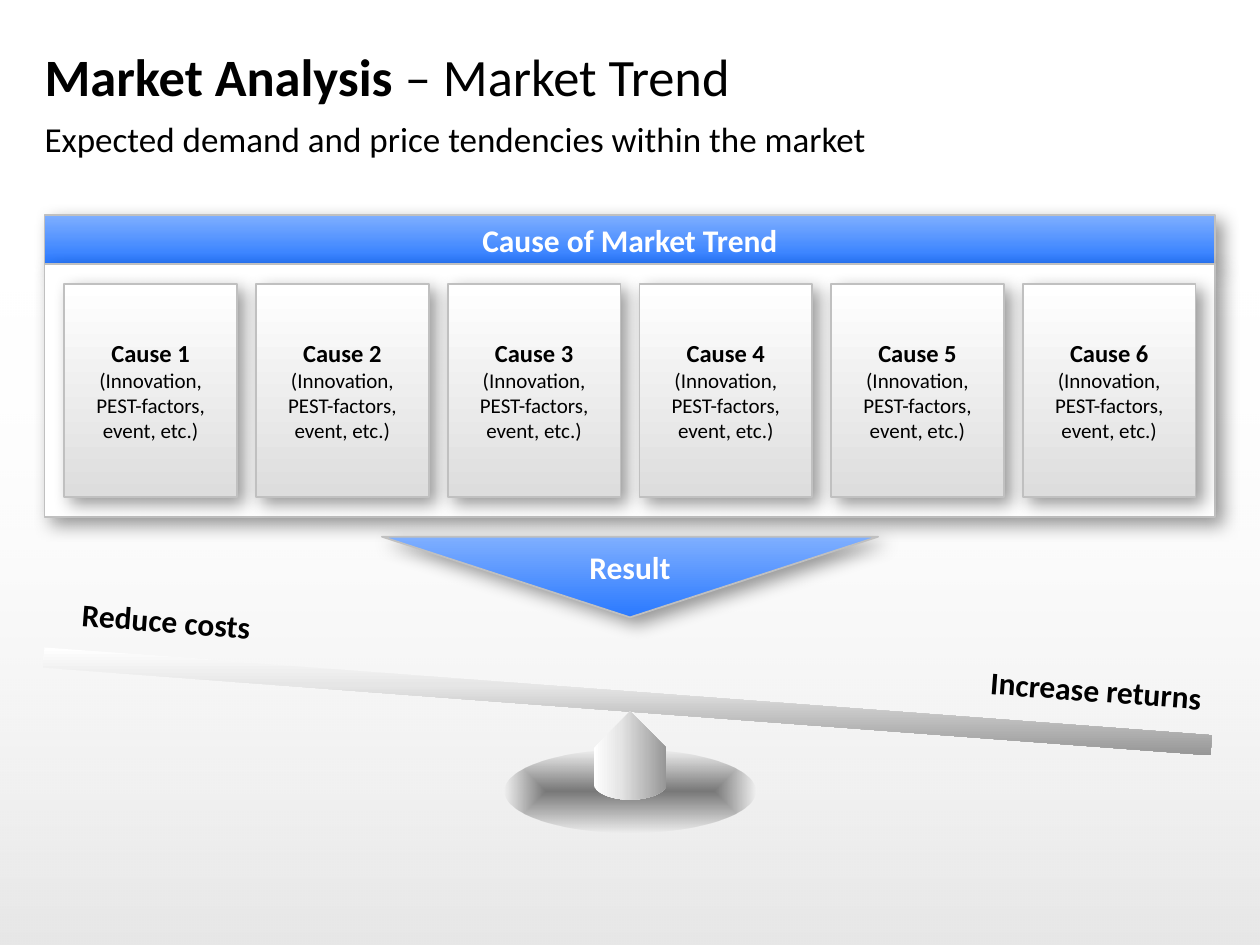
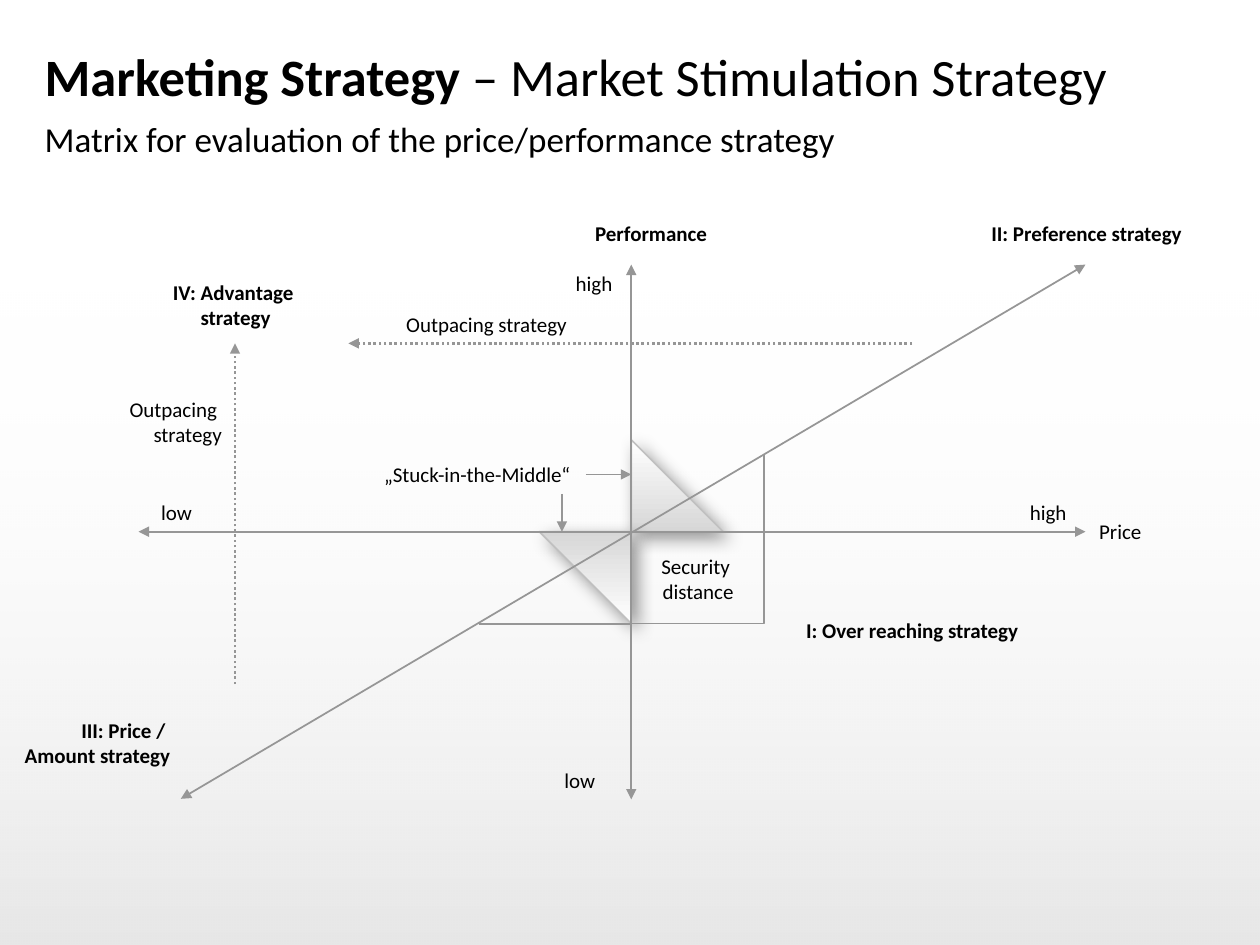
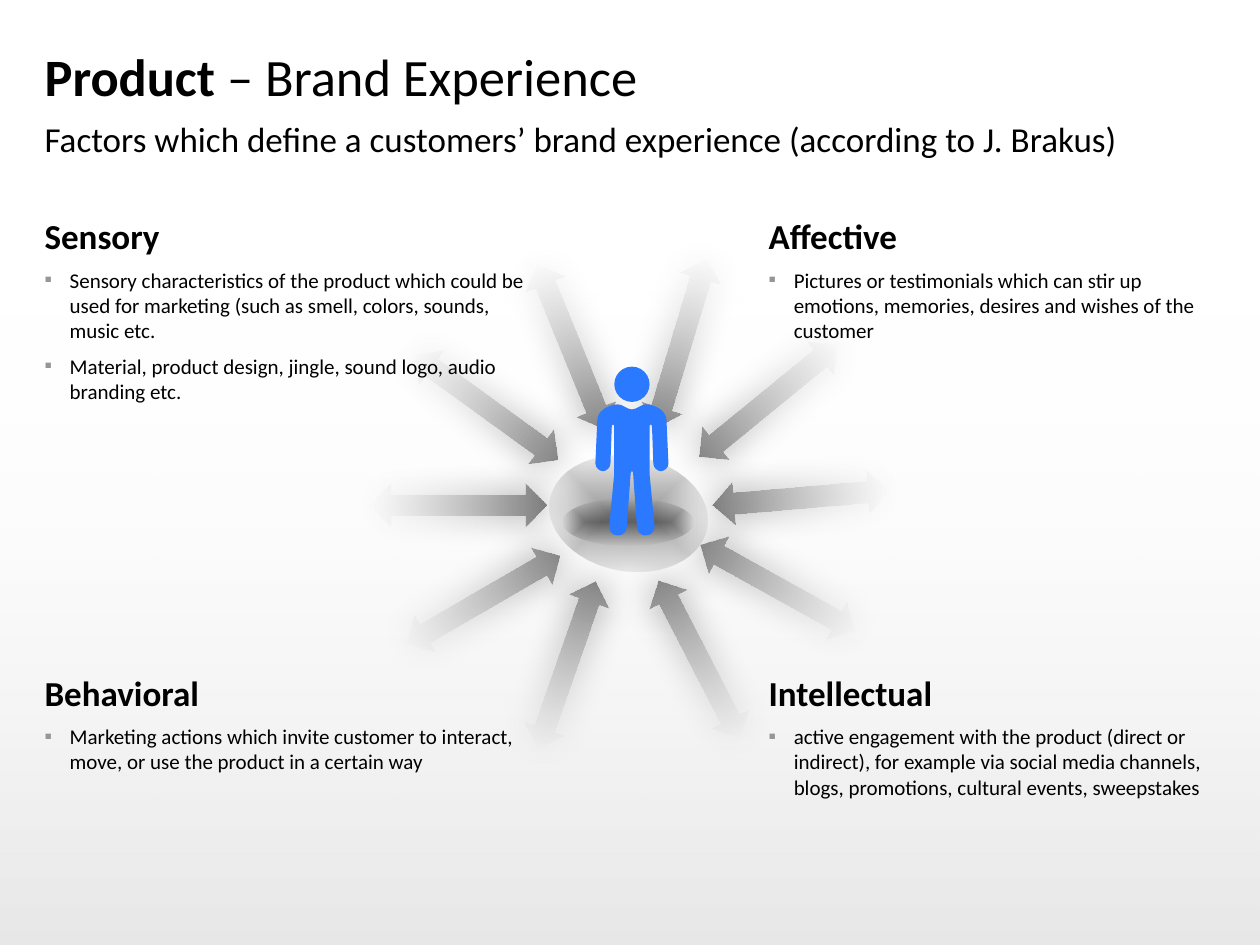
from typing import NamedTuple

from lxml import etree
from pptx import Presentation
from pptx.dml.color import RGBColor
from pptx.enum.dml import MSO_LINE
from pptx.enum.shapes import MSO_CONNECTOR, MSO_SHAPE
from pptx.enum.text import MSO_ANCHOR, MSO_AUTO_SIZE, PP_ALIGN
from pptx.oxml.ns import qn
from pptx.util import Inches, Pt

RECT, OVAL = MSO_SHAPE.RECTANGLE, MSO_SHAPE.OVAL
MERGE, TRIANGLE = MSO_SHAPE.FLOWCHART_MERGE, MSO_SHAPE.RIGHT_TRIANGLE
ARROW = MSO_SHAPE.LEFT_RIGHT_ARROW
STRAIGHT, DOTTED = MSO_CONNECTOR.STRAIGHT, MSO_LINE.ROUND_DOT
LEFT, CENTER, RIGHT = PP_ALIGN.LEFT, PP_ALIGN.CENTER, PP_ALIGN.RIGHT
TOP, MIDDLE, BOTTOM = MSO_ANCHOR.TOP, MSO_ANCHOR.MIDDLE, MSO_ANCHOR.BOTTOM
FIXED, GROW = MSO_AUTO_SIZE.NONE, MSO_AUTO_SIZE.SHAPE_TO_FIT_TEXT

FONT = "Calibri"
BLACK = RGBColor(0x00, 0x00, 0x00)
WHITE = RGBColor(0xFF, 0xFF, 0xFF)
BLUE = RGBColor(0x2A, 0x79, 0xFF)
LIGHT_BLUE = RGBColor(0x7F, 0xAF, 0xFF)
BORDER = RGBColor(0xC0, 0xC0, 0xC0)
GREY = RGBColor(0x96, 0x96, 0x96)
DARK_GREY = RGBColor(0x7D, 0x7D, 0x7D)
MID_GREY = RGBColor(0xD7, 0xD7, 0xD7)
CARD_GREY = RGBColor(0xDD, 0xDD, 0xDD)
PALE_GREY = RGBColor(0xE6, 0xE6, 0xE6)

BLUE_FADE = [(0, LIGHT_BLUE, 100), (100, BLUE, 100)]
CARD_FADE = [(0, WHITE, 100), (100, CARD_GREY, 100)]
METAL_FADE = [(0, WHITE, 100), (35, PALE_GREY, 100), (100, GREY, 100)]
TRIANGLE_FADE = [(0, MID_GREY, 100), (100, WHITE, 100)]
ARROW_FADE = [(0, MID_GREY, 0), (100, DARK_GREY, 100)]
BAND_FADE = [(0, BLACK, 10), (100, WHITE, 0)]
DROP_SHADOW = (10, 5, 45)
GLOW_SHADOW = (20, 0, 0)
PADDING = (0.12, 0.08, 0.12, 0.08)
NO_PADDING = (0, 0, 0, 0)

COLUMNS, ROWS = 100, 75
MARGIN, CONTENT_WIDTH, CONTENT_TOP = 3.54, 92.92, 17.04


def cells(count):
    """Convert grid cells, a hundred to the slide's width, to a length."""
    return Inches(count / 10)


class Box(NamedTuple):
    """A rectangle in grid cells."""
    left: float
    top: float
    width: float
    height: float

    def inner(self, x, y, width, height):
        """Return a box offset from this box's corner."""
        return Box(self.left + x, self.top + y, width, height)

    def lengths(self):
        """Return left, top, width and height as lengths."""
        return [cells(count) for count in self]


def fade(shape, stops, angle=None, turns=True):
    """Fill a shape with a linear gradient, or one towards its centre."""
    shape.fill.gradient()
    gradient = shape.element.spPr.find(qn("a:gradFill"))
    gradient.set("rotWithShape", str(int(turns)))
    for child in list(gradient):
        gradient.remove(child)
    stop_list = etree.SubElement(gradient, qn("a:gsLst"))
    for position, color, opacity in stops:
        stop = etree.SubElement(stop_list, qn("a:gs"), pos=str(position * 1000))
        tint = etree.SubElement(stop, qn("a:srgbClr"), val=str(color))
        if opacity < 100:
            etree.SubElement(tint, qn("a:alpha"), val=str(opacity * 1000))
    if angle is None:
        centre = etree.SubElement(gradient, qn("a:path"))
        centre.set("path", "shape")
        etree.SubElement(centre, qn("a:fillToRect"),
                         dict.fromkeys("ltrb", "50000"))
    else:
        etree.SubElement(gradient, qn("a:lin"), ang=str(angle * 60000), scaled="0")


def cast_shadow(shape, blur, distance, direction):
    """Give a shape a soft black shadow."""
    effects = shape.element.spPr.find(qn("a:effectLst"))
    outer = etree.SubElement(effects, qn("a:outerShdw"), blurRad=str(Pt(blur)),
                             dist=str(Pt(distance)), dir=str(direction * 60000),
                             algn="ctr", rotWithShape="0")
    tint = etree.SubElement(outer, qn("a:srgbClr"), val=str(BLACK))
    etree.SubElement(tint, qn("a:alpha"), val="40000")


def paint(shape, solid=None, stops=None, angle=None, border=None, shadow=None,
          rotation=0, turns=True):
    """Set a shape's fill, outline, shadow and rotation."""
    shape.shadow.inherit = False
    shape.rotation = rotation
    if stops:
        fade(shape, stops, angle, turns)
    elif solid is not None:
        shape.fill.solid()
        shape.fill.fore_color.rgb = solid
    else:
        shape.fill.background()
    if border is not None:
        shape.line.color.rgb = border
        shape.line.width = Pt(1)
    else:
        shape.line.fill.background()
    if shadow:
        cast_shadow(shape, *shadow)
    return shape


def draw(slide, kind, box, **look):
    """Add a painted preset shape."""
    return paint(slide.shapes.add_shape(kind, *box.lengths()), **look)


def draw_mirrored(slide, middle, top, start, half, **look):
    """Add an outline of lines and cubic curves, mirrored about its middle."""
    ends = [start] + [segment[-1] for segment in half]
    mirrored = [[(-x, y) for x, y in (*segment[-2::-1], end)]
                for segment, end in zip(half[::-1], ends[-2::-1])]
    segments = [list(segment) for segment in half]
    if ends[-1][0] != 0:
        segments.append([(-ends[-1][0], ends[-1][1])])
    segments += mirrored
    first, *rest = [(cells(middle + x), cells(top + y))
                    for segment in [[start], *segments] for x, y in segment]
    builder = slide.shapes.build_freeform(*first)
    builder.add_line_segments(rest, close=True)
    shape = builder.convert_to_shape()
    steps = list(shape.element.spPr.iter(qn("a:lnTo")))
    for segment in segments:
        curve, *controls = steps[:len(segment)]
        del steps[:len(segment)]
        if controls:
            curve.tag = qn("a:cubicBezTo")
        for control in controls:
            curve.append(control[0])
            control.getparent().remove(control)
    paint(shape, **look)


def set_frame(frame, padding, anchor=TOP, wrap=True, fit=FIXED):
    """Set a text frame's insets, anchor, wrapping and fit."""
    (frame.margin_left, frame.margin_top,
     frame.margin_right, frame.margin_bottom) = map(Inches, padding)
    frame.vertical_anchor = anchor
    frame.auto_size = fit
    frame.word_wrap = wrap


def style(paragraph, size, bold=None, color=BLACK, align=LEFT):
    """Set a paragraph's alignment and font."""
    paragraph.alignment = align
    font = paragraph.font
    font.name, font.size, font.bold = FONT, Pt(size), bold
    font.color.rgb = color


def caption(shape, text, color=BLACK, padding=PADDING):
    """Write a bold centred caption in the middle of a shape."""
    set_frame(shape.text_frame, padding, MIDDLE)
    paragraph = shape.text_frame.paragraphs[0]
    paragraph.text = text
    style(paragraph, 18, True, color, CENTER)


def add_bullet(paragraph):
    """Give a paragraph a hanging grey square bullet."""
    properties = paragraph._p.get_or_add_pPr()
    properties.set("marL", str(Inches(0.2)))
    properties.set("indent", str(-Inches(0.2)))
    tint = etree.SubElement(properties, qn("a:buClr"))
    etree.SubElement(tint, qn("a:srgbClr"), val=str(GREY))
    etree.SubElement(properties, qn("a:buFont"), typeface=FONT)
    etree.SubElement(properties, qn("a:buChar"), char="▪")


def place(placeholder, box, anchor):
    """Move a placeholder and return its first paragraph."""
    (placeholder.left, placeholder.top,
     placeholder.width, placeholder.height) = box.lengths()
    set_frame(placeholder.text_frame, NO_PADDING, anchor)
    return placeholder.text_frame.paragraphs[0]


def add_headed_slide(deck, topic, subject, summary):
    """Add a slide with its title and subtitle."""
    slide = deck.slides.add_slide(deck.slide_layouts[1])
    title = place(slide.shapes.title, Box(MARGIN, 2.65, CONTENT_WIDTH, 6.7), MIDDLE)
    for text, bold in ((topic + " ", True), ("– " + subject, False)):
        run = title.add_run()
        run.text, run.font.bold = text, bold
    style(title, 30)
    subtitle = place(slide.placeholders[1],
                     Box(MARGIN, 9.35, CONTENT_WIDTH, 3.7), TOP)
    subtitle.text = summary
    subtitle.space_before = Pt(0)
    properties = subtitle._p.get_or_add_pPr()
    properties.set("marL", "0")
    properties.set("indent", "0")
    etree.SubElement(properties, qn("a:buNone"))
    style(subtitle, 20)
    return slide


def add_master_band(deck, slide):
    """Put the grey fade at the foot of every slide on the master."""
    band = draw(slide, RECT, Box(0, 22.1, COLUMNS, ROWS - 22.1),
                stops=BAND_FADE, angle=270)
    band.element.nvSpPr.cNvPr.set("id", "100")
    deck.slide_master.element.cSld.spTree.insert(2, band.element)


def add_cause_panel(slide, box):
    """Draw the headed panel with its row of cause cards."""
    header = draw(slide, RECT, box.inner(0, 0, box.width, 3.93), stops=BLUE_FADE,
                  angle=90, border=BORDER, shadow=DROP_SHADOW)
    caption(header, "Cause of Market Trend", WHITE)
    draw(slide, RECT, box.inner(0, 3.93, box.width, box.height - 3.93),
         solid=WHITE, border=BORDER, shadow=DROP_SHADOW)
    count, card_width, inset = 6, 13.7, 1.57
    pitch = (box.width - 2 * inset - card_width) / (count - 1)
    for index in range(count):
        card = draw(slide, RECT,
                    box.inner(inset + index * pitch, 5.5, card_width, 16.9),
                    stops=CARD_FADE, angle=90, border=BORDER, shadow=DROP_SHADOW)
        set_frame(card.text_frame, PADDING, MIDDLE)
        paragraph = card.text_frame.paragraphs[0]
        name = paragraph.add_run()
        name.text = f"Cause {index + 1}"
        name.font.size, name.font.bold = Pt(14), True
        for line in ("(Innovation,", "PEST-factors, event, etc.)"):
            paragraph.add_line_break()
            paragraph.add_run().text = line
        style(paragraph, 12, align=CENTER)


def add_seesaw(slide, box):
    """Draw the tilted beam with its labels, foot and pillar."""
    tilt = 4.3
    draw(slide, OVAL, box.inner(36.7, 13.2, 19.9, 6.6),
         stops=[(0, BLACK, 50), (100, BLACK, 0)])
    for text, x, y in (("Reduce costs", 0.4, 0), ("Increase returns", 74.2, 5.5)):
        label = slide.shapes.add_textbox(*box.inner(x, y, 18.9, 5.9).lengths())
        label.rotation = tilt
        caption(label, text, padding=(0, 0.08, 0, 0.08))
    draw(slide, RECT, box.inner(0, 8.6, CONTENT_WIDTH, 1.6), stops=METAL_FADE,
         angle=90, rotation=tilt, turns=False)
    draw_mirrored(slide, box.left + 46.67, box.top + 10.2, (0, 0), [
        ((2.88, 2.9),),
        ((2.88, 5.8),),
        ((2.88, 6.4), (1.6, 7), (0, 7)),
    ], stops=METAL_FADE, angle=0)


def add_market_trend(deck):
    """Build the market trend slide."""
    slide = add_headed_slide(deck, "Market Analysis", "Market Trend",
                             "Expected demand and price tendencies within the market")
    add_master_band(deck, slide)
    add_cause_panel(slide, Box(MARGIN, CONTENT_TOP, CONTENT_WIDTH, 24))
    result = draw(slide, MERGE, Box(30.31, 42.6, 39.38, 6.4), stops=BLUE_FADE,
                  angle=90, border=BORDER, shadow=DROP_SHADOW)
    caption(result, "Result", WHITE, (0.12, 0.24, 0.12, 0.08))
    add_seesaw(slide, Box(3.34, 46.27, 93.1, 19.8))


def add_line(slide, origin, start, end, ends="", dash=None):
    """Draw a grey line, with arrowheads at the ends named."""
    points = [cells(base + shift) for point in (start, end)
              for base, shift in zip(origin[:2], point)]
    connector = slide.shapes.add_connector(STRAIGHT, *points)
    connector.line.color.rgb = GREY
    connector.line.width = Pt(1.5 if dash else 1)
    if dash:
        connector.line.dash_style = dash
    properties = connector.element.spPr
    for name in ends.split():
        etree.SubElement(properties.find(qn("a:ln")), qn(f"a:{name}End"),
                         type="triangle")
    etree.SubElement(properties, qn("a:effectLst"))


def add_label(slide, origin, text, x, y, width, bold=False, align=LEFT, wrap=False):
    """Write a small label at an offset from the origin."""
    height = 5 if "\n" in text else 3
    label = slide.shapes.add_textbox(*origin.inner(x, y, width, height).lengths())
    set_frame(label.text_frame, (0.1, 0.05, 0.1, 0.05), wrap=wrap, fit=GROW)
    paragraph = label.text_frame.paragraphs[0]
    paragraph.text = text
    style(paragraph, 12, bold, align=align)


def add_strategy_matrix(slide, origin):
    """Draw the price and performance axes, zones and labels."""
    leg = 7.3
    for x, y, rotation in ((0, -leg, 0), (-leg, 0, 180)):
        draw(slide, TRIANGLE, origin.inner(x, y, leg, leg), stops=TRIANGLE_FADE,
             angle=270, border=BORDER, shadow=DROP_SHADOW, rotation=rotation)
    draw(slide, RECT, origin.inner(0, 0, 10.55, leg), border=GREY)
    for line in (
        ((0, -21.2), (0, 21.25), "head tail"),
        ((-39.1, 0), (36.05, 0), "head tail"),
        ((-35.75, 21.2), (36.05, -21.2), "head tail"),
        ((22.3, -14.95), (-22.45, -14.95), "tail", DOTTED),
        ((-31.45, 12.1), (-31.45, -14.95), "tail", DOTTED),
        ((0, leg), (-12.1, leg)),
        ((10.55, 0), (10.55, -6.2)),
        ((-3.6, -4.55), (0, -4.55), "tail"),
        ((-5.5, -3), (-5.5, 0), "tail"),
    ):
        add_line(slide, origin, *line)
    for label in (
        ("Performance", -3.85, -25.2, 11, True),
        ("low", -6.3, 18.2, 4.5),
        ("high", -5.4, -21.2, 4.9),
        ("IV: Advantage \nstrategy", -37.45, -20.5, 12.1, True, CENTER),
        ("III: Price / \nAmount strategy", -49.3, 14.25, 13.7, True, RIGHT),
        ("II: Preference strategy", 27.5, -25.2, 17.3, True, CENTER),
        ("I: Over reaching strategy", 11.85, 6.3, 20.9, True, CENTER, True),
        ("low", -38.3, -3.05, 4.5),
        ("Price", 36.15, -1.5, 5.4),
        ("high", 30.65, -3.05, 4.9),
        ("„Stuck-in-the-Middle“", -20.6, -6.05, 17),
        ("Security \ndistance", 1.35, 1.25, 7.9, False, CENTER),
        ("Outpacing strategy", -18.85, -18, 14.9),
        ("Outpacing \nstrategy", -40.9, -11.2, 9.4, False, RIGHT),
    ):
        add_label(slide, origin, *label)


def add_market_stimulation(deck):
    """Build the market stimulation strategy slide."""
    slide = add_headed_slide(deck, "Marketing Strategy", "Market Stimulation Strategy",
                             "Matrix for evaluation of the price/performance strategy")
    add_strategy_matrix(slide, Box(50.1, 42.2, 0, 0))


def add_customer(slide, box):
    """Draw the standing customer, mirrored about the box's middle."""
    draw(slide, OVAL, box.inner(1.5, 0, 2.8, 2.8), solid=BLUE)
    draw_mirrored(slide, box.left + box.width / 2, box.top + 3, (0, 0.4), [
        ((0.4, 0.4), (0.7, 0), (1.1, 0)),
        ((1.7, 0), (2.75, 0.4), (2.75, 1.3)),
        ((2.9, 4.7),),
        ((2.9, 5), (2.6, 5.3), (2.3, 5.3)),
        ((2, 5.3), (1.7, 5), (1.7, 4.7)),
        ((1.6, 1.8),),
        ((1.6, 1.7), (1.6, 1.6), (1.5, 1.6)),
        ((1.4, 1.6), (1.4, 1.7), (1.4, 1.8)),
        ((1.4, 5.5),),
        ((1.8, 9.7),),
        ((1.8, 10.1), (1.5, 10.4), (1.1, 10.4)),
        ((0.7, 10.4), (0.4, 10.1), (0.4, 9.7)),
        ((0.1, 5.5),),
        ((0.1, 5.4), (0.05, 5.3), (0, 5.3)),
    ], solid=BLUE)


def add_experience_rays(slide, box):
    """Draw the customer on a shadow, ringed by fading arrows."""
    pool = [(0, BLACK, 40), (100, BLACK, 0)]
    draw(slide, OVAL, box.inner(14.25, 10.7, 12.6, 9.1), stops=pool, rotation=10.1)
    for x, y, rotation in (
        (24.6, 4.6, 320.9), (2.2, 5.1, 216.1), (8.6, 25.6, 109.1),
        (19.1, 25.1, 62.8), (27.15, 12.3, 355.2), (1.95, 20.4, 150.2),
        (0, 12.9, 180), (17.7, 0, 286.8), (8.95, 0.3, 247.8), (25.35, 19.45, 29),
    ):
        draw(slide, ARROW, box.inner(x, y, 14, 3.4), stops=ARROW_FADE, angle=180,
             shadow=GLOW_SHADOW, rotation=rotation)
    draw(slide, OVAL, box.inner(15.3, 14.1, 10.4, 3.7), stops=pool)
    add_customer(slide, box.inner(17.9, 3.6, 5.8, 13.4))


def add_factor(slide, box, anchor, heading, points, foot=0):
    """Write a factor's heading and its bullets."""
    factor = slide.shapes.add_textbox(*box.lengths())
    frame = factor.text_frame
    set_frame(frame, (0, 0, 0, foot), anchor)
    frame.text = "\n".join([heading, *points])
    title, *bullets = frame.paragraphs
    style(title, 20, True)
    for bullet in bullets:
        add_bullet(bullet)
        style(bullet, 12)
    for paragraph in frame.paragraphs:
        paragraph.space_after = Pt(6)


def add_brand_experience(deck):
    """Build the brand experience slide."""
    slide = add_headed_slide(
        deck, "Product", "Brand Experience",
        "Factors which define a customers’ brand experience (according to J. Brakus)")
    add_experience_rays(slide, Box(29.35, 25.5, 41.2, 29))
    height, lower = 22.4, CONTENT_TOP + 24
    left, right = (MARGIN, 39.4), (61, 35.4)
    for (x, width), y, anchor, *content in (
        (left, CONTENT_TOP, TOP, "Sensory", [
            "Sensory characteristics of the product which could be used for "
            "marketing (such as smell, colors, sounds, music etc.",
            "Material, product design, jingle, sound logo, audio branding etc."]),
        (right, CONTENT_TOP, TOP, "Affective", [
            "Pictures or testimonials which can stir up emotions, memories, "
            "desires and wishes of the customer"]),
        (right, lower, BOTTOM, "Intellectual", [
            "active engagement with the product (direct or indirect), for example "
            "via social media channels, blogs, promotions, cultural events, "
            "sweepstakes"]),
        (left, lower, BOTTOM, "Behavioral", [
            "Marketing actions which invite customer to interact, move, or use "
            "the product in a certain way"], 0.2),
    ):
        add_factor(slide, Box(x, y, width, height), anchor, *content)


def main():
    """Build and save the deck."""
    deck = Presentation()
    deck.slide_width, deck.slide_height = cells(COLUMNS), cells(ROWS)
    add_market_trend(deck)
    add_market_stimulation(deck)
    add_brand_experience(deck)
    deck.save("out.pptx")


if __name__ == "__main__":
    main()
